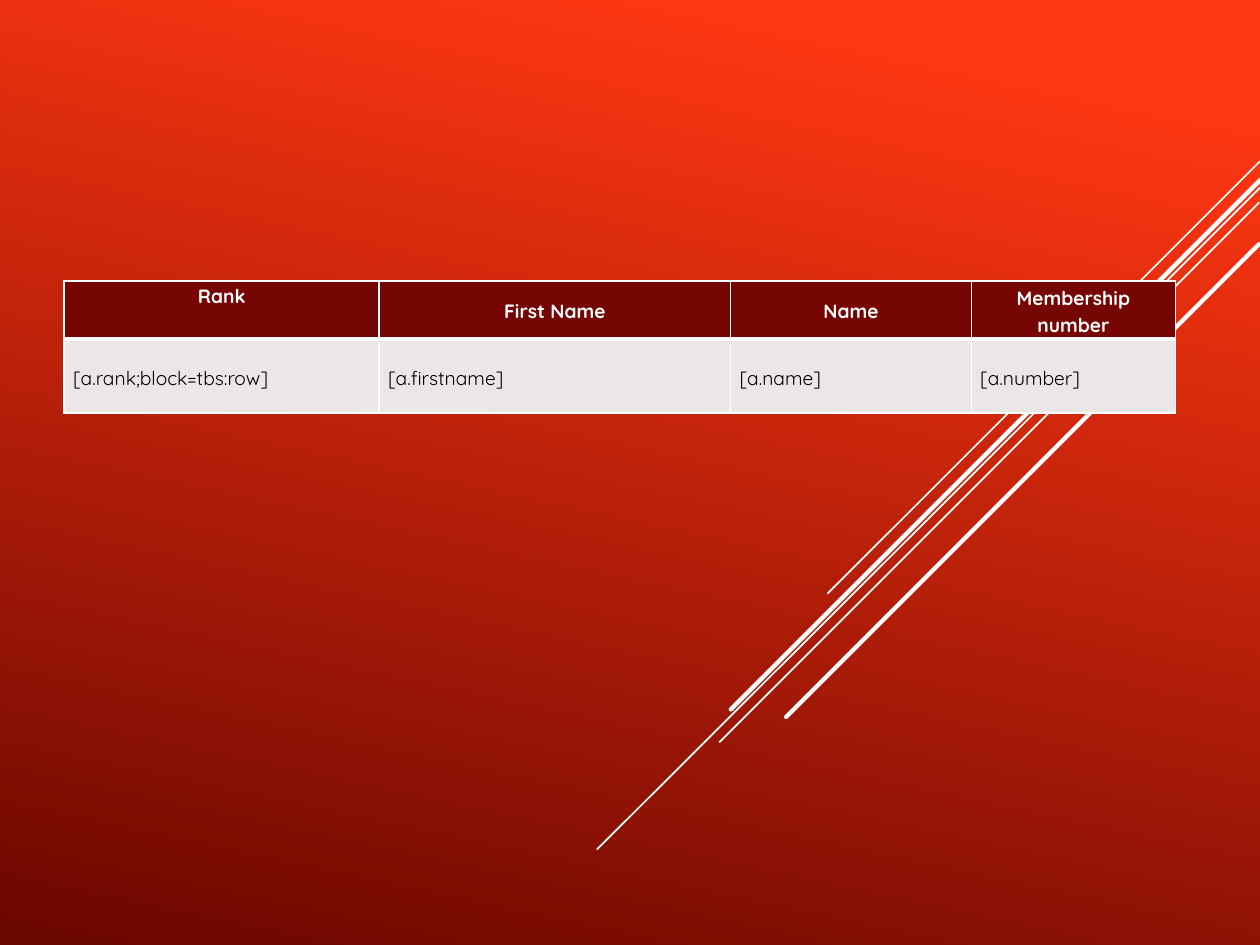
from dataclasses import dataclass

from lxml import etree
from pptx import Presentation
from pptx.dml.color import RGBColor
from pptx.enum import shapes, text
from pptx.oxml import ns
from pptx.util import Inches, Pt


@dataclass(frozen=True)
class Theme:
    """Colours, font and type size of the slide."""
    glow: str = "FF3712"
    deep: str = "6A0600"
    head: str = "760603"
    body: str = "ECE7E7"
    white: str = "FFFFFF"
    black: str = "000000"
    font: str = "Quicksand"
    size: float = 11


@dataclass(frozen=True)
class Ray:
    """A slanted line from its upper right to its lower left end."""
    x1: float
    y1: float
    x2: float
    y2: float
    width: float


@dataclass(frozen=True)
class Row:
    """A table row and the look its cells share."""
    height: float
    texts: tuple[str, ...]
    fill: str
    ink: str
    bold: bool
    align: text.PP_ALIGN
    base: float


THEME = Theme()
RAYS = (
    Ray(10, 1.28, 6.57, 4.71, 1),
    Ray(10.01, 1.48, 4.74, 6.74, 1),
    Ray(9.99, 1.61, 5.71, 5.89, 1),
    Ray(10, 1.43, 5.8, 5.63, 2.5),
    Ray(9.99, 1.94, 6.24, 5.69, 2.5),
)
WIDTHS = (2.5, 2.79, 1.91, 1.62)
ROWS = (
    Row(0.46, ("Rank", "First Name", "Name", "Membership number"),
        THEME.head, THEME.white, True, text.PP_ALIGN.CENTER, 3),
    Row(0.59, ("[a.rank;block=tbs:row]", "[a.firstname]", "[a.name]", "[a.number]"),
        THEME.body, THEME.black, False, text.PP_ALIGN.LEFT, 1),
)


def paint(slide) -> None:
    """Fill the background with the red gradient."""
    fill = slide.background.fill
    fill.gradient()
    fill.gradient_angle = 360 - 102
    stops = ((0.1, THEME.glow), (1, THEME.deep))
    for stop, (place, tint) in zip(fill.gradient_stops, stops):
        stop.position = place
        stop.color.rgb = RGBColor.from_string(tint)


def draw_ray(slide, ray: Ray) -> None:
    """Draw one white line with round ends and no shadow."""
    line = slide.shapes.add_connector(
        shapes.MSO_CONNECTOR.STRAIGHT,
        Inches(ray.x1), Inches(ray.y1), Inches(ray.x2), Inches(ray.y2))
    line.line.color.rgb = RGBColor.from_string(THEME.white)
    line.line.width = Pt(ray.width)
    props = line._element.spPr
    props.find(ns.qn("a:ln")).set("cap", "rnd")
    etree.SubElement(props, ns.qn("a:effectLst"))


def edge(cell, sides: dict[str, float]) -> None:
    """Give a cell white borders, with a width in points for each side."""
    props = cell._tc.get_or_add_tcPr()
    for spot, (side, width) in enumerate(sides.items()):
        line = etree.Element(ns.qn(f"a:ln{side}"), w=str(Pt(width)))
        fill = etree.SubElement(line, ns.qn("a:solidFill"))
        etree.SubElement(fill, ns.qn("a:srgbClr"), val=THEME.white)
        props.insert(spot, line)


def fill_cell(cell, words: str, row: Row) -> None:
    """Write and format one cell in the look of its row."""
    cell.margin_left = cell.margin_right = Inches(0.07)
    cell.margin_top = cell.margin_bottom = 0
    cell.vertical_anchor = text.MSO_ANCHOR.MIDDLE
    cell.fill.solid()
    cell.fill.fore_color.rgb = RGBColor.from_string(row.fill)
    para = cell.text_frame.paragraphs[0]
    para.text = words
    para.alignment = row.align
    para.line_spacing = 1.15
    para.space_after = Pt(10)
    font = para.runs[0].font
    font.name = THEME.font
    font.size = Pt(THEME.size)
    font.bold = row.bold
    font.color.rgb = RGBColor.from_string(row.ink)


def draw_table(slide) -> None:
    """Draw the table of members."""
    frame = slide.shapes.add_table(
        len(ROWS), len(WIDTHS), Inches(0.51), Inches(2.23),
        Inches(sum(WIDTHS)), Inches(sum(row.height for row in ROWS)))
    table = frame.table
    for col, width in zip(table.columns, WIDTHS):
        col.width = Inches(width)
    top = 1
    for r, row in enumerate(ROWS):
        table.rows[r].height = Inches(row.height)
        for c, words in enumerate(row.texts):
            cell = table.cell(r, c)
            fill_cell(cell, words, row)
            edge(cell, {"L": 1, "R": 1, "T": top, "B": row.base})
        top = row.base
    table.cell(0, 0).vertical_anchor = text.MSO_ANCHOR.TOP


def main() -> None:
    """Build the slide and save it."""
    deck = Presentation()
    deck.slide_width, deck.slide_height = Inches(10), Inches(7.5)
    slide = deck.slides.add_slide(deck.slide_layouts[6])
    paint(slide)
    for ray in RAYS:
        draw_ray(slide, ray)
    draw_table(slide)
    deck.save("out.pptx")


main()
